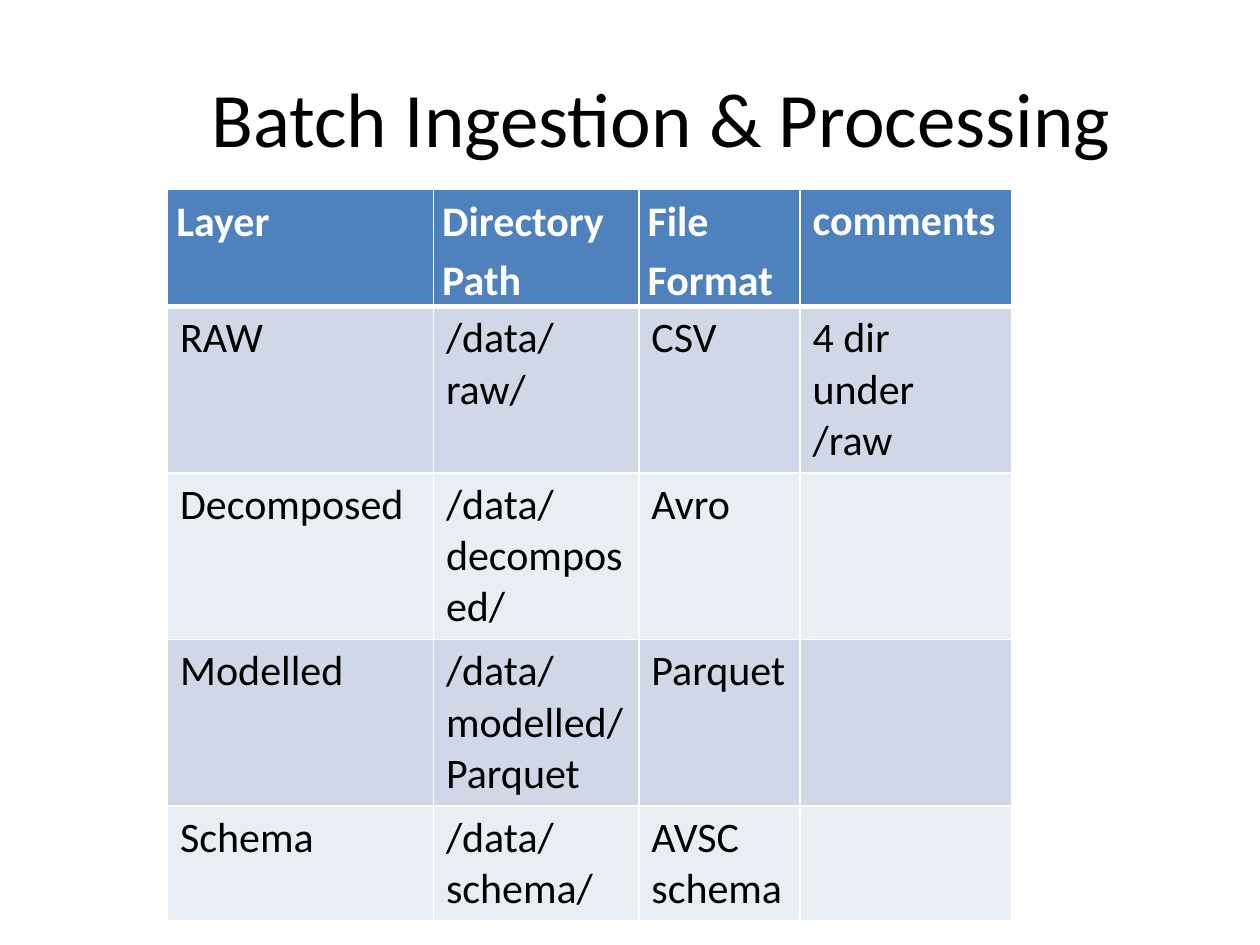
from lxml import etree
from pptx import Presentation
from pptx.dml.color import RGBColor
from pptx.enum.text import MSO_ANCHOR, PP_ALIGN
from pptx.oxml.ns import qn
from pptx.util import Inches, Pt

CENTER = PP_ALIGN.CENTER
MIDDLE = MSO_ANCHOR.MIDDLE
FONT = "Calibri"
WHITE, BLACK, HEAD = "FFFFFF", "000000", "4F81BD"
BANDS = ("D0D8E8", "E9EDF4")
COLS = (2.11, 1.63, 1.28, 1.68)
ROWS = (0.9, 0.9, 0.9, 1.28, 0.9)
DATA = (
    ("Layer", "Directory Path", "File Format", "comments"),
    ("RAW", "/data/raw/", "CSV", "4 dir under /raw"),
    ("Decomposed", "/data/decomposed/", "Avro", ""),
    ("Modelled", "/data/modelled/Parquet", "Parquet", ""),
    ("Schema", "/data/schema/", "AVSC schema", ""),
)


def color(code):
    """Turn a hex string into a colour."""
    return RGBColor.from_string(code)


def write(para, text, size, code, bold=False):
    """Add one styled run to a paragraph."""
    run = para.add_run()
    run.text = text
    font = run.font
    font.name, font.size, font.bold = FONT, Pt(size), bold
    font.color.rgb = color(code)


def edge(cell, side, width):
    """Draw a white border on one side of a cell."""
    props = cell._tc.get_or_add_tcPr()
    line = etree.SubElement(props, qn(f"a:ln{side}"), w=str(Pt(width)))
    fill = etree.SubElement(line, qn("a:solidFill"))
    etree.SubElement(fill, qn("a:srgbClr"), val=WHITE)


def style(cell, row, col):
    """Set borders, fill and header margins of a cell."""
    for side in "LRTB":
        thick = (row, side) in ((0, "B"), (1, "T"))
        edge(cell, side, 3 if thick else 1)
    cell.fill.solid()
    cell.fill.fore_color.rgb = color(BANDS[(row - 1) % 2] if row else HEAD)
    if row == 0 and col < 3:
        cell.margin_left = cell.margin_right = Inches(0.07)
        cell.margin_top = cell.margin_bottom = 0
        cell.text_frame.paragraphs[0].line_spacing = 1.15


def add_title(slide, box):
    """Place the title in its box."""
    title = slide.shapes.title
    title.left, title.top, title.width, title.height = box
    frame = title.text_frame
    frame.word_wrap = True
    frame.vertical_anchor = MIDDLE
    para = frame.paragraphs[0]
    para.alignment = CENTER
    write(para, "\tBatch Ingestion & Processing", 44, BLACK)


def add_grid(slide, box):
    """Fill a box with the table of layers, sized by shares."""
    table = slide.shapes.add_table(len(ROWS), len(COLS), *box).table
    for col, share in zip(table.columns, COLS):
        col.width = int(box[2] * share / sum(COLS))
    for row, share in zip(table.rows, ROWS):
        row.height = int(box[3] * share / sum(ROWS))
    for r, words in enumerate(DATA):
        for c, text in enumerate(words):
            cell = table.cell(r, c)
            style(cell, r, c)
            if text:
                para = cell.text_frame.paragraphs[0]
                write(para, text, 24, BLACK if r else WHITE, r == 0)


def main():
    """Build and save the slide."""
    deck = Presentation()
    wide, high = Inches(10), Inches(7.5)
    deck.slide_width, deck.slide_height = wide, high
    slide = deck.slides.add_slide(deck.slide_layouts[5])
    add_title(slide, (int(wide * 0.05), int(high * 0.04), int(wide * 0.9), high // 6))
    add_grid(slide, (Inches(1.33), high // 5, Inches(sum(COLS)), Inches(sum(ROWS))))
    deck.save("out.pptx")


if __name__ == "__main__":
    main()
